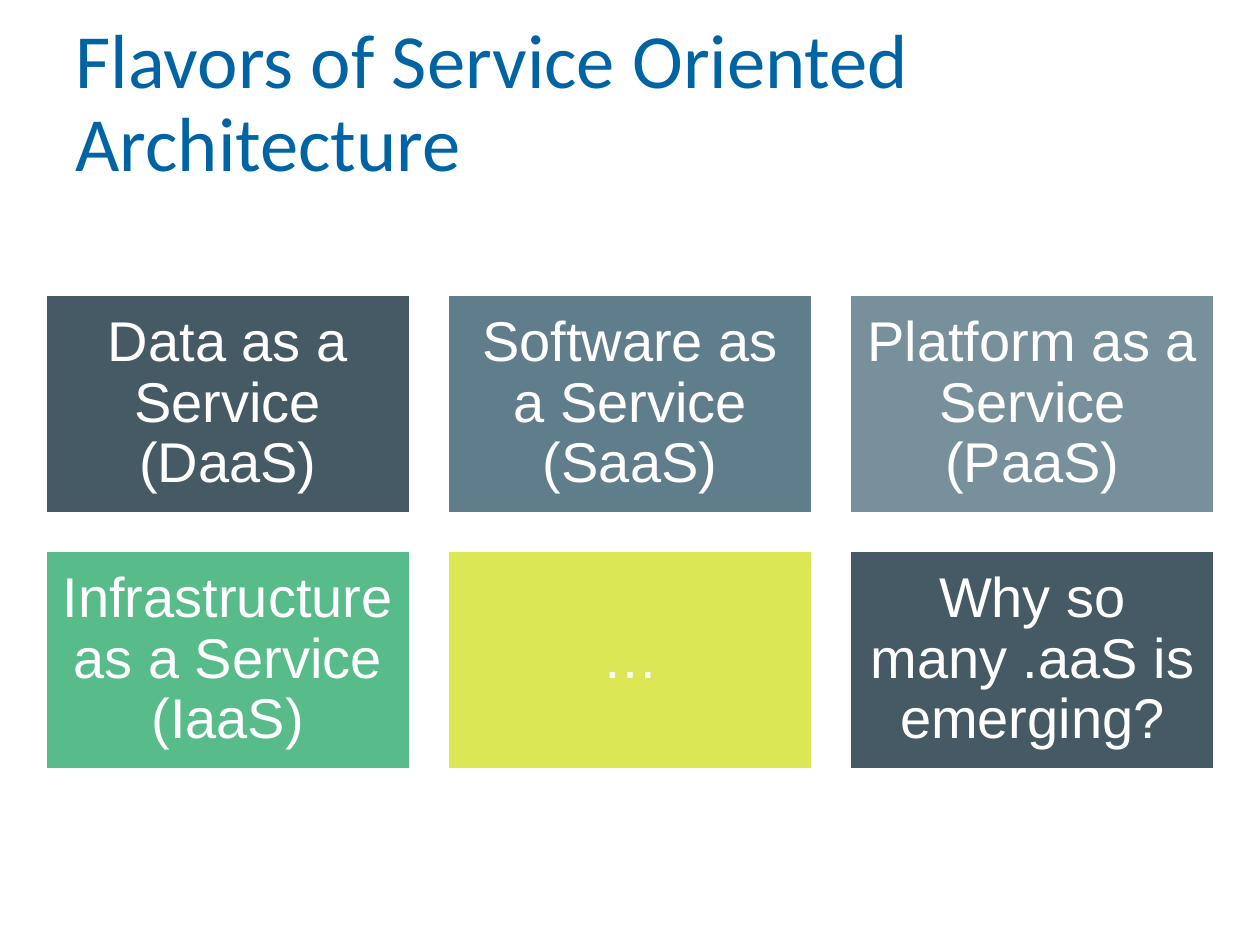
"""Build a slide showing the flavors of service oriented architecture as a grid of tiles."""
from dataclasses import dataclass

from pptx import Presentation
from pptx.dml.color import RGBColor
from pptx.enum.shapes import MSO_SHAPE
from pptx.enum.text import MSO_ANCHOR, MSO_AUTO_SIZE, PP_ALIGN
from pptx.slide import Slide
from pptx.util import Cm, Pt

RECTANGLE = MSO_SHAPE.RECTANGLE
MIDDLE = MSO_ANCHOR.MIDDLE
NO_AUTOFIT = MSO_AUTO_SIZE.NONE
LEFT = PP_ALIGN.LEFT
CENTER = PP_ALIGN.CENTER

WHITE = RGBColor(0xFF, 0xFF, 0xFF)
BLUE = RGBColor(0x00, 0x64, 0xA4)
DARK_SLATE = RGBColor(0x45, 0x5A, 0x64)
SLATE = RGBColor(0x60, 0x7D, 0x8B)
LIGHT_SLATE = RGBColor(0x78, 0x90, 0x9C)
GREEN = RGBColor(0x57, 0xBB, 0x8A)
LIME = RGBColor(0xDC, 0xE7, 0x55)

COLUMNS = 3
GRID_LEFT, GRID_TOP = Cm(0.91), Cm(5.94)
TILE_WIDTH, TILE_HEIGHT = Cm(7.37), Cm(4.42)
GAP = Cm(0.74)
TILE_INSET = Cm(0.32)


@dataclass(frozen=True)
class Tile:
    text: str
    fill: RGBColor


TILES = [
    Tile("Data as a Service (DaaS)", DARK_SLATE),
    Tile("Software as a Service (SaaS)", SLATE),
    Tile("Platform as a Service (PaaS)", LIGHT_SLATE),
    Tile("Infrastructure as a Service (IaaS)", GREEN),
    Tile("…", LIME),
    Tile("Why so many .aaS is emerging?", DARK_SLATE),
]


def format_title(slide: Slide, text: str) -> None:
    title = slide.shapes.title
    title.left, title.top = Cm(1.27), Cm(0.89)
    title.width, title.height = Cm(23.6), Cm(2.46)
    frame = title.text_frame
    frame.text = text
    frame.word_wrap = True
    frame.auto_size = NO_AUTOFIT
    frame.vertical_anchor = MIDDLE
    paragraph = frame.paragraphs[0]
    paragraph.alignment = LEFT
    paragraph.line_spacing = 0.9
    paragraph.font.name = "Calibri"
    paragraph.font.size = Pt(43.8)
    paragraph.font.color.rgb = BLUE


def add_tile(slide: Slide, tile: Tile, row: int, column: int) -> None:
    shape = slide.shapes.add_shape(
        RECTANGLE,
        GRID_LEFT + column * (TILE_WIDTH + GAP),
        GRID_TOP + row * (TILE_HEIGHT + GAP),
        TILE_WIDTH,
        TILE_HEIGHT,
    )
    shape.shadow.inherit = False
    shape.fill.solid()
    shape.fill.fore_color.rgb = tile.fill
    shape.line.color.rgb = WHITE
    shape.line.width = Pt(2)
    frame = shape.text_frame
    frame.text = tile.text
    frame.word_wrap = True
    frame.vertical_anchor = MIDDLE
    frame.margin_left = frame.margin_right = TILE_INSET
    frame.margin_top = frame.margin_bottom = TILE_INSET
    paragraph = frame.paragraphs[0]
    paragraph.alignment = CENTER
    paragraph.line_spacing = 0.9
    paragraph.font.name = "Arial"
    paragraph.font.size = Pt(32)
    paragraph.font.color.rgb = WHITE


def main() -> None:
    presentation = Presentation()
    presentation.slide_width, presentation.slide_height = Cm(25.4), Cm(19.05)
    slide = presentation.slides.add_slide(presentation.slide_layouts[5])
    format_title(slide, "Flavors of Service Oriented Architecture")
    for index, tile in enumerate(TILES):
        add_tile(slide, tile, *divmod(index, COLUMNS))
    presentation.save("out.pptx")


if __name__ == "__main__":
    main()
